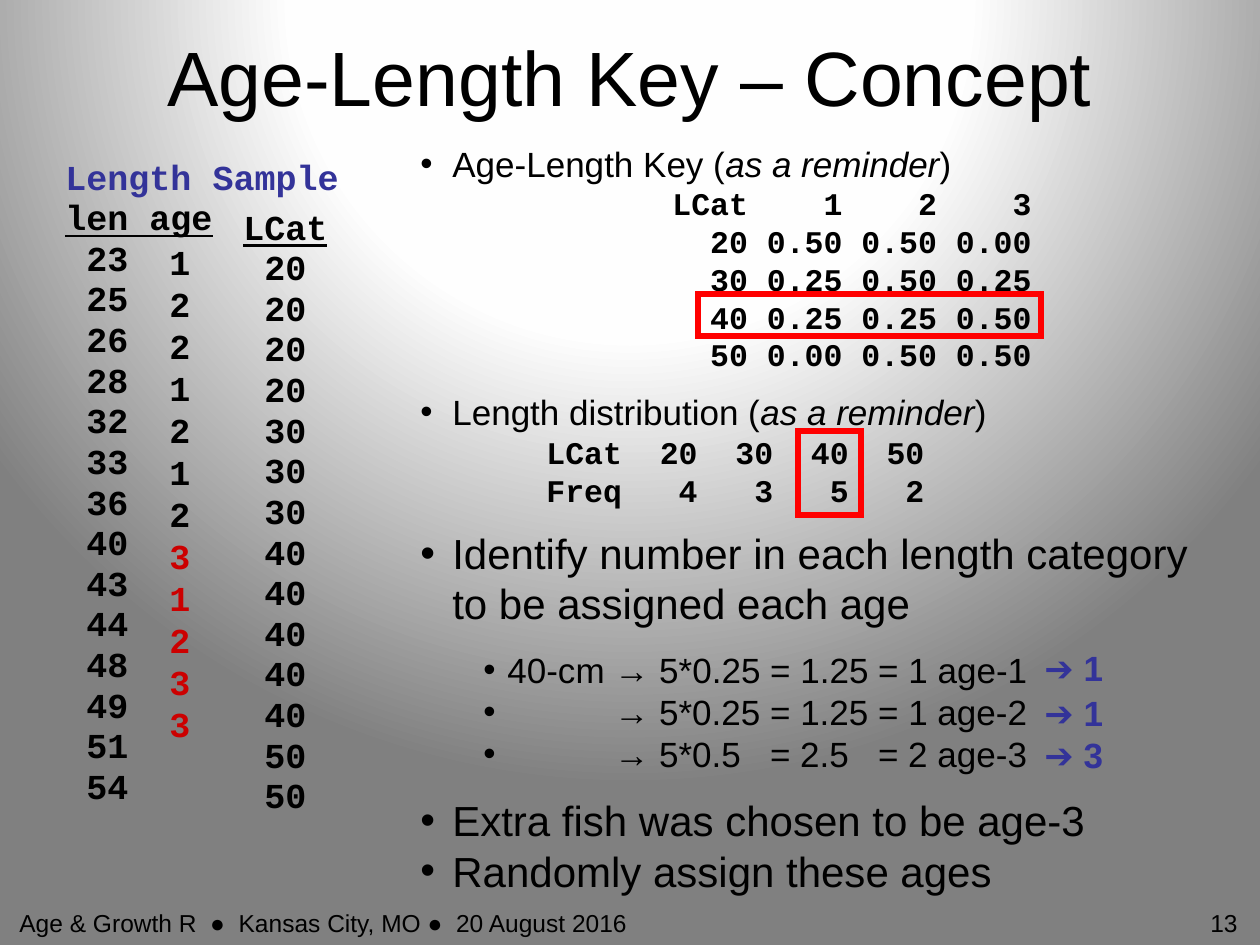
from lxml import etree
from pptx import Presentation
from pptx.dml.color import RGBColor
from pptx.enum.shapes import MSO_SHAPE
from pptx.enum.text import MSO_ANCHOR, MSO_AUTO_SIZE, PP_ALIGN
from pptx.oxml import parse_xml
from pptx.oxml.ns import nsdecls, qn
from pptx.util import Emu, Pt

PX = 914400 / 126
COLORS = {"text": "000000", "accent": "333399", "red": "CC0000",
          "frame": "FF0000", "light": "FFFFFF", "near_light": "FEFEFE",
          "dark": "808080"}
SANS, MONO = "Arial", "Courier New"
LENGTHS = [23, 25, 26, 28, 32, 33, 36, 40, 43, 44, 48, 49, 51, 54]
AGES = [1, 2, 2, 1, 2, 1, 2, 3, 1, 2, 3, 3]
KEY_ROWS = ["LCat    1    2    3", "  20 0.50 0.50 0.00", "  30 0.25 0.50 0.25",
            "  40 0.25 0.25 0.50", "  50 0.00 0.50 0.50"]
FREQUENCY_ROWS = ["LCat  20  30  40  50", "Freq   4   3   5   2"]
ASSIGNMENTS = [("40-cm → 5*0.25 = 1.25 = 1 age-1", 87),
               ("→ 5*0.25 = 1.25 = 1 age-2", 194),
               ("→ 5*0.5   = 2.5   = 2 age-3", 194)]


def px(length):
    return Emu(round(length * PX))


def rgb(name):
    return RGBColor.from_string(COLORS[name])


def set_background(slide):
    stops = "".join(
        f'<a:gs pos="{pos}000"><a:srgbClr val="{COLORS[name]}"/></a:gs>'
        for pos, name in ((40, "light"), (43, "near_light"), (100, "dark")))
    background = parse_xml(
        f'<p:bg {nsdecls("p", "a")}><p:bgPr><a:gradFill rotWithShape="1">'
        f'<a:gsLst>{stops}</a:gsLst><a:path path="circle">'
        '<a:fillToRect l="50000" t="-80000" r="50000" b="180000"/></a:path>'
        '</a:gradFill><a:effectLst/></p:bgPr></p:bg>')
    slide.element.cSld.insert(0, background)


def add_frame(slide, left, top, width, height, wrap=True):
    frame = slide.shapes.add_textbox(px(left), px(top), px(width), px(height)).text_frame
    frame.word_wrap = wrap
    if not wrap:
        frame.auto_size = MSO_AUTO_SIZE.SHAPE_TO_FIT_TEXT
    return frame


def style_runs(paragraph, size, font=SANS, color="text", bold=False, underline=False):
    for run in paragraph.runs:
        run.font.size = Pt(size)
        run.font.name = font
        run.font.color.rgb = rgb(color)
        run.font.bold = bold
        run.font.underline = underline


def add_label(slide, box, text, size, align=PP_ALIGN.LEFT, wrap=True, **style):
    frame = add_frame(slide, *box, wrap=wrap)
    frame.text = text
    frame.paragraphs[0].alignment = align
    style_runs(frame.paragraphs[0], size, **style)
    return frame


def next_paragraph(frame):
    first = frame.paragraphs[0]
    return first if not first.runs else frame.add_paragraph()


def set_indent(paragraph, margin, indent=0, bullet=False):
    properties = paragraph._p.get_or_add_pPr()
    properties.set("marL", str(px(margin)))
    properties.set("indent", str(px(indent)))
    if bullet:
        etree.SubElement(properties, qn("a:buFont")).set("typeface", SANS)
        etree.SubElement(properties, qn("a:buChar")).set("char", "•")


def add_column(slide, box, rows):
    frame = add_frame(slide, *box)
    for text, color, underline in rows:
        line = next_paragraph(frame)
        line.text = text
        line.line_spacing = 0.8
        line.space_before = Pt(4)
        style_runs(line, 20, MONO, color, bold=True, underline=underline)


def add_bullet(frame, text, size, gap=0, margin=32, hang=32, italic=""):
    line = next_paragraph(frame)
    line.text = text
    if italic:
        line.add_run().text = italic
        line.add_run().text = ")"
    line.space_before = Pt(gap)
    set_indent(line, margin, -hang, bullet=True)
    style_runs(line, size)
    if italic:
        line.runs[1].font.italic = True


def add_mono_rows(frame, rows, margin):
    for row in rows:
        line = next_paragraph(frame)
        line.text = row
        set_indent(line, margin)
        style_runs(line, 18, MONO, bold=True)


def add_highlight(slide, left, top, width, height):
    highlight = slide.shapes.add_shape(MSO_SHAPE.RECTANGLE, px(left), px(top),
                                       px(width), px(height))
    highlight.shadow.inherit = False
    highlight.fill.background()
    highlight.line.color.rgb = rgb("frame")
    highlight.line.width = Pt(3)
    outline = highlight.element.spPr.find(qn("a:ln"))
    etree.SubElement(outline, qn("a:miter")).set("lim", "800000")


def add_explanation(slide):
    frame = add_frame(slide, 408, 136, 820, 766)
    add_bullet(frame, "Age-Length Key (", 20, italic="as a reminder")
    add_mono_rows(frame, KEY_ROWS, 252)
    add_bullet(frame, "Length distribution (", 20, gap=10, italic="as a reminder")
    add_mono_rows(frame, FREQUENCY_ROWS, 126)
    add_bullet(frame, "Identify number in each length category to be assigned each age",
               24, gap=11)
    for index, (text, margin) in enumerate(ASSIGNMENTS):
        add_bullet(frame, text, 20, 0 if index else 11.5, margin, margin - 63)
    add_bullet(frame, "Extra fish was chosen to be age-3", 24, gap=11.5)
    add_bullet(frame, "Randomly assign these ages", 24)


def add_sample(slide):
    heading = [("Length Sample", "accent", False), ("len age", "text", True)]
    add_column(slide, (53, 157, 336, 693),
               heading + [(f" {length}", "text", False) for length in LENGTHS])
    categories = [(f" {length // 10 * 10}", "text", False) for length in LENGTHS]
    add_column(slide, (231, 207, 116, 643), [("LCat", "text", True)] + categories)
    for index, (length, age) in enumerate(zip(LENGTHS, AGES)):
        add_label(slide, (157, 234 + 42 * index, 47, 54), str(age), 20, wrap=False,
                  font=MONO, color="red" if length >= 40 else "text", bold=True)


def main():
    deck = Presentation()
    deck.slide_width, deck.slide_height = px(1260), px(945)
    slide = deck.slides.add_slide(deck.slide_layouts[6])
    set_background(slide)
    add_label(slide, (0, 902, 640, 43),
              "Age & Growth R  ●  Kansas City, MO ●  20 August 2016", 14, PP_ALIGN.RIGHT)
    title = add_label(slide, (9, 16, 1242, 120), "Age-Length Key – Concept", 44,
                      PP_ALIGN.CENTER)
    title.vertical_anchor = MSO_ANCHOR.MIDDLE
    add_sample(slide)
    add_explanation(slide)
    for top, count in ((640, 1), (685, 1), (727, 3)):
        add_label(slide, (1032, top, 92, 54), f"➔ {count}", 20, wrap=False,
                  color="accent", bold=True)
    add_highlight(slide, 698, 294, 343, 42)
    add_highlight(slide, 798, 431, 63, 84)
    add_label(slide, (1166, 902, 84, 43), "13", 14, PP_ALIGN.RIGHT)
    deck.save("out.pptx")


if __name__ == "__main__":
    main()
